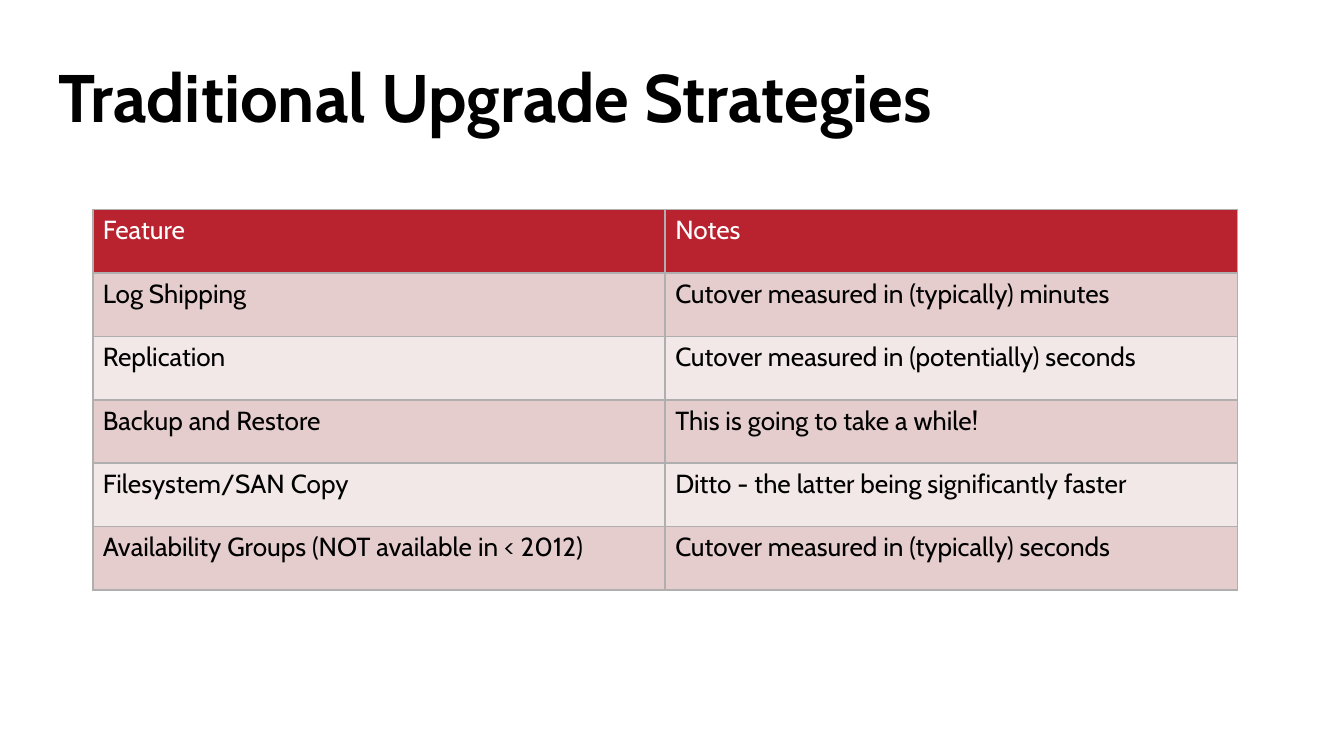
from lxml.etree import SubElement
from pptx import Presentation
from pptx.dml.color import RGBColor
from pptx.enum.text import MSO_ANCHOR
from pptx.oxml.ns import qn
from pptx.util import Pt

COLORS = {"black": "000000", "white": "FFFFFF", "header": "B8232F",
          "odd": "E6CDCD", "even": "F3E8E8", "border": "AFAFAF"}

ROWS = [
    ("Feature", "Notes"),
    ("Log Shipping", "Cutover measured in (typically) minutes"),
    ("Replication", "Cutover measured in (potentially) seconds"),
    ("Backup and Restore", "This is going to take a while!"),
    ("Filesystem/SAN Copy", "Ditto - the latter being significantly faster"),
    ("Availability Groups (NOT available in < 2012)",
     "Cutover measured in (typically) seconds"),
]


def rgb(name):
    return RGBColor.from_string(COLORS[name])


def set_attrs(obj, values):
    for name, value in values.items():
        setattr(obj, name, value)


class SlideBuilder:
    font = "Cabin"

    def __init__(self, slide):
        self.slide = slide

    def add_text(self, p, text, size, color, bold=False):
        r = p.add_run()
        r.text = text
        set_attrs(r.font, {"name": self.font, "size": Pt(size), "bold": bold})
        r.font.color.rgb = rgb(color)

    def title(self, text, left, top, width, height):
        box = self.slide.shapes.add_textbox(Pt(left), Pt(top), Pt(width), Pt(height))
        tf = box.text_frame
        set_attrs(tf, {"word_wrap": True, "vertical_anchor": MSO_ANCHOR.TOP})
        p = tf.paragraphs[0]
        p.line_spacing = Pt(35)
        self.add_text(p, text, 36, "black", bold=True)

    def border(self, cell, width=1):
        tc_pr = cell._tc.get_or_add_tcPr()
        for side in ("lnL", "lnR", "lnT", "lnB"):
            ln = SubElement(tc_pr, qn(f"a:{side}"), w=str(Pt(width)))
            fill = SubElement(ln, qn("a:solidFill"))
            SubElement(fill, qn("a:srgbClr"), val=COLORS["border"])

    def table(self, rows, left, top, col_width, row_height):
        n_rows, n_cols = len(rows), len(rows[0])
        table = self.slide.shapes.add_table(
            n_rows, n_cols, Pt(left), Pt(top),
            Pt(col_width * n_cols), Pt(row_height * n_rows)).table
        for col in table.columns:
            col.width = Pt(col_width)
        for i, texts in enumerate(rows):
            table.rows[i].height = Pt(row_height)
            fill = "header" if i == 0 else "odd" if i % 2 else "even"
            for j, text in enumerate(texts):
                cell = table.cell(i, j)
                set_attrs(cell, {"margin_left": Pt(5.4), "margin_right": Pt(5.4),
                                 "margin_top": Pt(2.7), "margin_bottom": Pt(2.7)})
                self.border(cell)
                cell.fill.solid()
                cell.fill.fore_color.rgb = rgb(fill)
                self.add_text(cell.text_frame.paragraphs[0], text, 14,
                              "black" if i else "white")


def main():
    prs = Presentation()
    set_attrs(prs, {"slide_width": Pt(720), "slide_height": Pt(405)})
    s = SlideBuilder(prs.slides.add_slide(prs.slide_layouts[6]))
    s.title("Traditional Upgrade Strategies", 24.5, 34.5, 664, 48)
    s.table(ROWS, 49.7, 112.2, 306.7, 34)
    prs.save("out.pptx")


if __name__ == "__main__":
    main()
